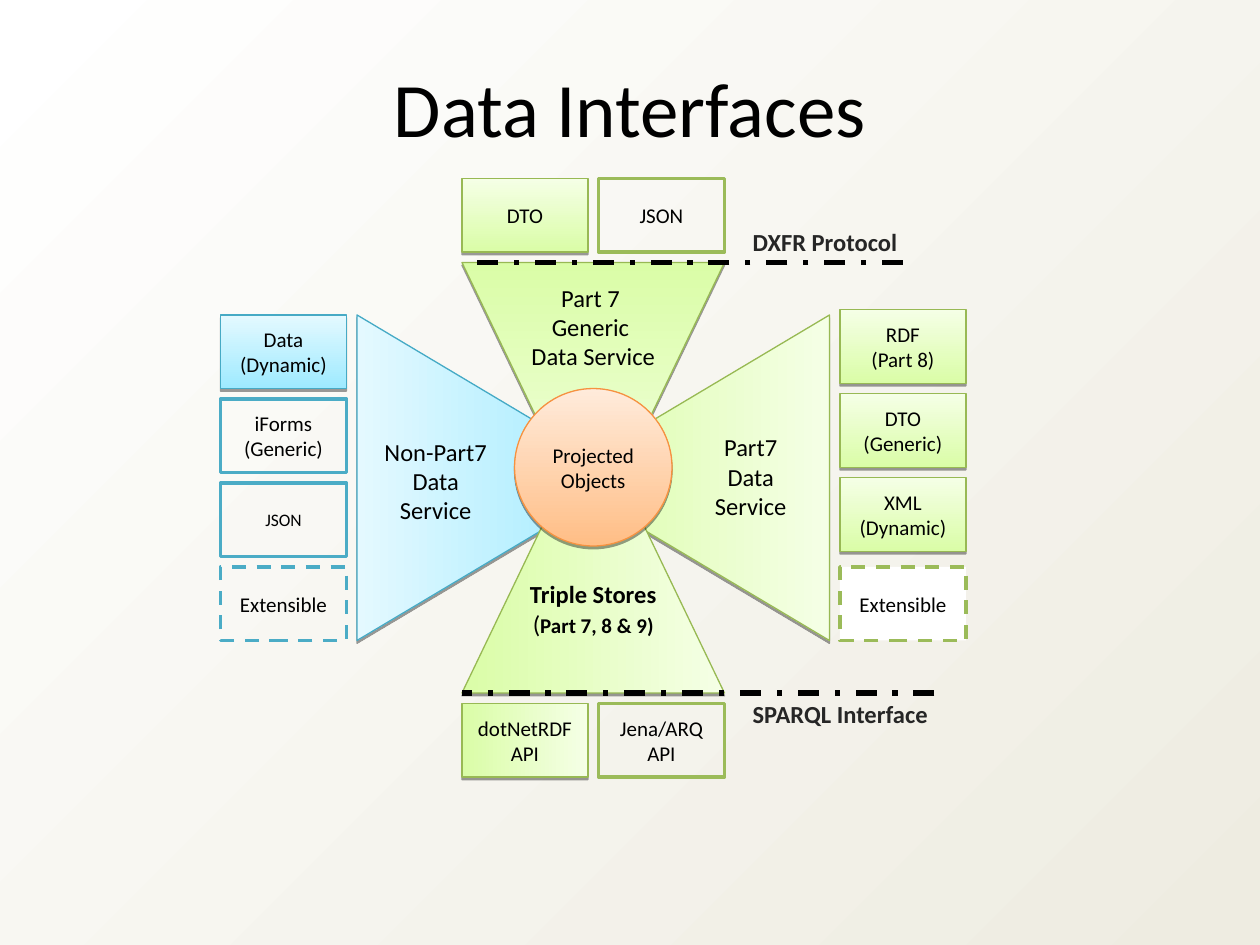
"""Build the Data Interfaces slide: services around a hub of projected objects."""
from dataclasses import dataclass

from lxml import etree
from pptx import Presentation
from pptx.dml.color import RGBColor
from pptx.enum.dml import MSO_LINE
from pptx.enum.shapes import MSO_CONNECTOR, MSO_SHAPE
from pptx.enum.text import MSO_ANCHOR, PP_ALIGN
from pptx.oxml import parse_xml
from pptx.oxml.ns import qn
from pptx.util import Pt

RECT, TRIANGLE, OVAL = MSO_SHAPE.RECTANGLE, MSO_SHAPE.ISOSCELES_TRIANGLE, MSO_SHAPE.OVAL
STRAIGHT = MSO_CONNECTOR.STRAIGHT
DASH, DASH_DOT = MSO_LINE.DASH, MSO_LINE.DASH_DOT
LEFT, CENTER = PP_ALIGN.LEFT, PP_ALIGN.CENTER
TOP, MIDDLE = MSO_ANCHOR.TOP, MSO_ANCHOR.MIDDLE

SHADOW = (
    '<a:effectLst xmlns:a="http://schemas.openxmlformats.org/drawingml/2006/main">'
    '<a:outerShdw blurRad="0" dist="20320" dir="5400000" rotWithShape="0">'
    '<a:srgbClr val="000000"><a:alpha val="38000"/></a:srgbClr>'
    '</a:outerShdw></a:effectLst>'
)


@dataclass(frozen=True)
class Theme:
    """Colours, font and type sizes of the deck."""
    font: str = "Calibri"
    title: int = 44
    service: int = 14
    label: int = 12
    small: int = 10
    ink: str = "000000"
    soft_ink: str = "262626"
    white: str = "FFFFFF"
    backdrop: tuple = ("FFFFFF", "EEECE1")
    green: tuple = ("DAFDA7", "F5FFE6")
    blue: tuple = ("9EEAFF", "E4F9FF")
    orange: tuple = ("FFBE86", "FFEBDB")
    green_edge: str = "98B954"
    blue_edge: str = "46AAC5"
    orange_edge: str = "F69240"
    green_frame: str = "9BBB59"
    blue_frame: str = "4BACC6"


class Page:
    """Draws styled elements on one slide, with all lengths in points."""

    def __init__(self, slide, theme):
        self.slide, self.theme = slide, theme

    def gradient(self, fill, colors, angle):
        """Fill with a two-colour linear gradient, angle counter-clockwise."""
        fill.gradient()
        fill.gradient_angle = angle
        for stop, color, position in zip(fill.gradient_stops, colors, (0, 1)):
            stop.color.rgb = RGBColor.from_string(color)
            stop.position = position

    def stroke(self, line, color, width, dash=None):
        """Style an outline or a connector."""
        line.color.rgb = RGBColor.from_string(color)
        line.width = Pt(width)
        if dash is not None:
            line.dash_style = dash

    def add_spans(self, frame, paragraphs, color, align, anchor):
        """Fill a text frame with paragraphs made of (text, size, bold) spans."""
        frame.word_wrap = True
        frame.vertical_anchor = anchor
        for index, spans in enumerate(paragraphs):
            para = frame.paragraphs[0] if index == 0 else frame.add_paragraph()
            para.alignment = align
            for text, size, bold in spans:
                for number, row in enumerate(text.split("\n")):
                    if number:
                        para.add_line_break()
                    span = para.add_run()
                    span.text = row
                    span.font.name = self.theme.font
                    span.font.size = Pt(size)
                    span.font.bold = bold
                    span.font.color.rgb = RGBColor.from_string(color)

    def text(self, place, paragraphs, color=None, align=CENTER, wrap=True):
        """Add a plain text box."""
        box = self.slide.shapes.add_textbox(*map(Pt, place))
        self.add_spans(box.text_frame, paragraphs, color or self.theme.ink, align, TOP)
        box.text_frame.word_wrap = wrap

    def solid(self, kind, place, colors, edge, angle=90, rotation=0, text=None):
        """Add a gradient shape with a thin edge and a drop shadow."""
        shape = self.slide.shapes.add_shape(kind, *map(Pt, place))
        shape.rotation = rotation
        self.gradient(shape.fill, colors, angle)
        self.stroke(shape.line, edge, 0.75)
        shape._element.spPr.append(parse_xml(SHADOW))
        if text:
            self.add_spans(shape.text_frame, [[(text, self.theme.label, False)]], self.theme.ink, CENTER, MIDDLE)

    def frame(self, place, edge, text, size=None, dash=None, fill=None):
        """Add an outlined rectangle with a label."""
        box = self.slide.shapes.add_shape(RECT, *map(Pt, place))
        box.shadow.inherit = False
        if fill:
            box.fill.solid()
            box.fill.fore_color.rgb = RGBColor.from_string(fill)
        else:
            box.fill.background()
        self.stroke(box.line, edge, 2, dash)
        self.add_spans(box.text_frame, [[(text, size or self.theme.label, False)]], self.theme.ink, CENTER, MIDDLE)

    def boundary(self, start, end, y):
        """Add a heavy dash-dot interface line."""
        line = self.slide.shapes.add_connector(STRAIGHT, Pt(start), Pt(y), Pt(end), Pt(y))
        self.stroke(line.line, self.theme.ink, 3, DASH_DOT)
        etree.SubElement(line._element.spPr, qn("a:effectLst"))


def main():
    """Lay out the slide and save the deck."""
    theme = Theme()
    deck = Presentation()
    deck.slide_width, deck.slide_height = Pt(720), Pt(540)
    page = Page(deck.slides.add_slide(deck.slide_layouts[6]), theme)
    page.gradient(page.slide.background.fill, theme.backdrop, 315)

    size = (72, 42)
    left, right, first, second = 126, 480, 264, 342
    top, bottom, last, pitch = 102, 402, 324, 48
    green = (theme.green, theme.green_edge)
    blue = (theme.blue, theme.blue_edge)

    page.text((12, 31, 696, 60), [[("Data Interfaces", theme.title, False)]])

    page.solid(TRIANGLE, (303, 195, 186, 156), *green, angle=270, rotation=270)
    page.solid(TRIANGLE, (189, 195, 186, 156), *blue, angle=270, rotation=90)
    page.solid(TRIANGLE, (first, 240, 150, 156), *green, angle=0)
    page.solid(TRIANGLE, (first, 150, 150, 156), *green, rotation=180)
    page.solid(OVAL, (294, 222, 90, 90), theme.orange, theme.orange_edge, text="Projected Objects")

    for place, label in (
        ((210, 246, 78, 58), "Non-Part7\nData Service"),
        ((390, 243.5, 78, 58), "Part7\nData Service"),
        ((294, 158, 90, 58), "Part 7 \nGeneric \nData Service"),
    ):
        page.text(place, [[(label, theme.service, False)]])
    page.text((294, 327.5, 90, 41), [
        [("Triple Stores", theme.service, True)],
        [("(", theme.service, False), ("Part 7, 8 & 9)", theme.label, True)],
    ])

    page.solid(RECT, (left, 180, *size), *blue, text="Data\n(Dynamic)")
    page.frame((left, 180 + pitch, *size), theme.blue_frame, "iForms\n(Generic)")
    page.frame((left, 180 + 2 * pitch, *size), theme.blue_frame, "JSON", theme.small)
    page.frame((left, last, *size), theme.blue_frame, "Extensible", dash=DASH)

    for row, label in enumerate(("RDF\n(Part 8)", "DTO\n(Generic)", "XML\n(Dynamic)")):
        page.solid(RECT, (right, 177 + row * pitch, *size), *green, text=label)
    page.frame((right, last, *size), theme.green_frame, "Extensible", dash=DASH, fill=theme.white)

    page.solid(RECT, (first, top, *size), *green, text="DTO")
    page.frame((second, top, *size), theme.green_frame, "JSON")
    page.solid(RECT, (first, bottom, *size), *green, angle=0, text="dotNetRDF API")
    page.frame((second, bottom, *size), theme.green_frame, "Jena/ARQ\nAPI")

    for label, text_y, width, start, line_y in (
        ("DXFR Protocol", 126, 98, 516, 150),
        ("SPARQL Interface", 396, 116, 534, 396),
    ):
        page.text((423, text_y, width, 24), [[(label, theme.service, True)]], theme.soft_ink, LEFT, wrap=False)
        page.boundary(start, first, line_y)

    deck.save("out.pptx")


if __name__ == "__main__":
    main()
